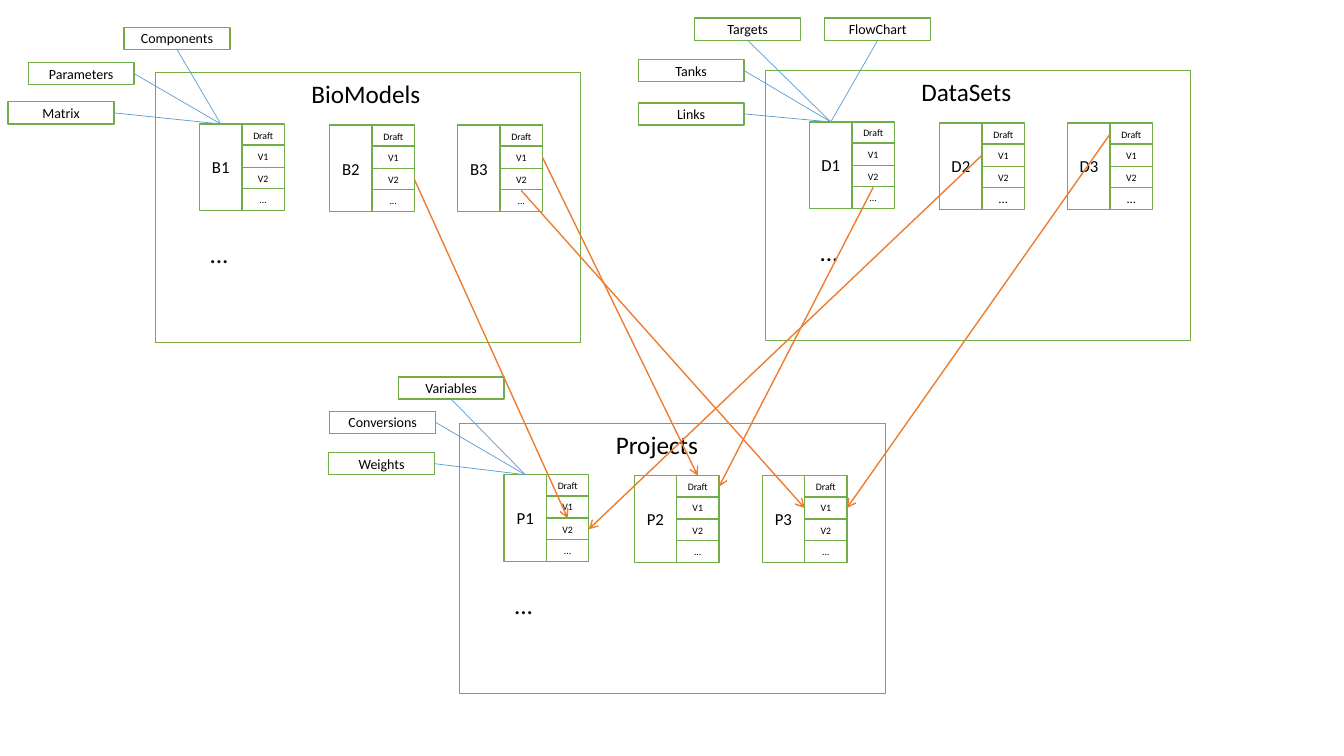
from lxml import etree
from pptx import Presentation
from pptx import util as u
from pptx.dml.color import RGBColor
from pptx.enum import shapes, text
from pptx.oxml.ns import qn

PX = 9144  # EMU per px, 100 px to the inch
BLACK = RGBColor(0x00, 0x00, 0x00)
WHITE = RGBColor(0xFF, 0xFF, 0xFF)
GREEN = RGBColor(0x70, 0xAD, 0x47)
BLUE = RGBColor(0x5B, 0x9B, 0xD5)
ORANGE = RGBColor(0xED, 0x7D, 0x31)

# Connection sites of a rectangle
TOP, LEFT, BOTTOM, RIGHT = range(4)

TAG_WIDTH, TAG_HEIGHT = 105, 22
CELL_WIDTH, CARD_HEIGHT = 42, 86
VERSIONS = ["Draft", "V1", "V2", "..."]
CARD_OFFSETS = [(44, 51), (173, 52), (300, 52)]

# Name, left, top, card letter, tags (label, left, top, side its line leaves from)
PANELS = [
    ("BioModels", 154, 72, "B", [
        ("Components", 123, 27, BOTTOM),
        ("Parameters", 28, 62, RIGHT),
        ("Matrix", 8, 101, RIGHT)]),
    ("DataSets", 759, 70, "D", [
        ("FlowChart", 818, 18, BOTTOM),
        ("Targets", 689, 18, BOTTOM),
        ("Tanks", 633, 59, RIGHT),
        ("Links", 633, 102, RIGHT)]),
    ("Projects", 456, 420, "P", [
        ("Variables", 395, 374, BOTTOM),
        ("Conversions", 327, 408, RIGHT),
        ("Weights", 326, 449, RIGHT)]),
]

# From card, version, side; to card, version, side
ARROWS = [
    ("B2", "V2", RIGHT, "P1", "V2", TOP),
    ("D2", "V1", LEFT, "P1", "V2", RIGHT),
    ("B3", "V1", RIGHT, "P2", "Draft", TOP),
    ("D1", "V2", BOTTOM, "P2", "Draft", RIGHT),
    ("B3", "V2", BOTTOM, "P3", "V1", LEFT),
    ("D3", "Draft", LEFT, "P3", "V1", RIGHT),
]

presentation = Presentation()
presentation.slide_width = 1333 * PX
presentation.slide_height = 750 * PX
slide = presentation.slides.add_slide(presentation.slide_layouts[6])


def add_box(parent, left, top, width, height, label="", size=None):
    """Add a green-outlined rectangle, or borderless text when parent is None."""
    bounds = [length * PX for length in (left, top, width, height)]
    if parent is None:
        shape = slide.shapes.add_textbox(*bounds)
        shape.text_frame.auto_size = text.MSO_AUTO_SIZE.SHAPE_TO_FIT_TEXT
    else:
        shape = parent.add_shape(shapes.MSO_SHAPE.RECTANGLE, *bounds)
        shape.shadow.inherit = False
        shape.fill.solid()
        shape.fill.fore_color.rgb = WHITE
        shape.line.color.rgb = GREEN
        shape.line.width = u.Pt(1)
    frame = shape.text_frame
    frame.word_wrap = True
    if label:
        paragraph = frame.paragraphs[0]
        paragraph.text = label
        paragraph.font.name = "Calibri"
        paragraph.font.size = u.Pt(size)
        paragraph.font.color.rgb = BLACK
        if parent is not None:
            paragraph.alignment = text.PP_ALIGN.CENTER
            frame.vertical_anchor = text.MSO_ANCHOR.MIDDLE
            frame.margin_left = frame.margin_right = 0
            frame.margin_top = frame.margin_bottom = 0
    return shape


def connect(start, start_side, end, end_side, color, width, arrow=False):
    """Join two boxes with a straight line."""
    connector = slide.shapes.add_connector(shapes.MSO_CONNECTOR.STRAIGHT, 0, 0, 0, 0)
    connector.begin_connect(start, start_side)
    connector.end_connect(end, end_side)
    connector.line.color.rgb = color
    connector.line.width = u.Pt(width)
    if arrow:
        etree.SubElement(connector.line._ln, qn("a:tailEnd"), type="arrow")
    etree.SubElement(connector._element.spPr, qn("a:effectLst"))


# Panels with their cards and tags
cells = {}
for panel_name, panel_left, panel_top, letter, tags in PANELS:
    add_box(slide.shapes, panel_left, panel_top, 422, 268)
    add_box(None, panel_left + 145, panel_top + 1, 132, 40, panel_name, 18)

    # Cards: a name beside four stacked versions
    for number, (offset_x, offset_y) in enumerate(CARD_OFFSETS, start=1):
        card = f"{letter}{number}"
        left, top = panel_left + offset_x, panel_top + offset_y
        group = slide.shapes.add_group_shape()
        cells[card, "name"] = add_box(
            group.shapes, left, top, CELL_WIDTH, CARD_HEIGHT, card, 12)
        for row, version in enumerate(VERSIONS):
            size = 9 if version == "..." and card in ("D2", "D3") else 7
            cells[card, version] = add_box(
                group.shapes, left + CELL_WIDTH, top + row * CARD_HEIGHT // 4,
                CELL_WIDTH, 22, version, size)

    add_box(None, panel_left + 44, panel_top + 160, 107, 40, "...", 18)

    # Tags pointing at the first card
    for label, left, top, side in tags:
        tag = add_box(slide.shapes, left, top, TAG_WIDTH, TAG_HEIGHT, label, 10)
        connect(tag, side, cells[letter + "1", "name"], TOP, BLUE, 0.5)

# Arrows from model and data versions to project versions
for source, source_version, source_side, target, target_version, target_side in ARROWS:
    connect(cells[source, source_version], source_side,
            cells[target, target_version], target_side, ORANGE, 1, arrow=True)

presentation.save("out.pptx")
